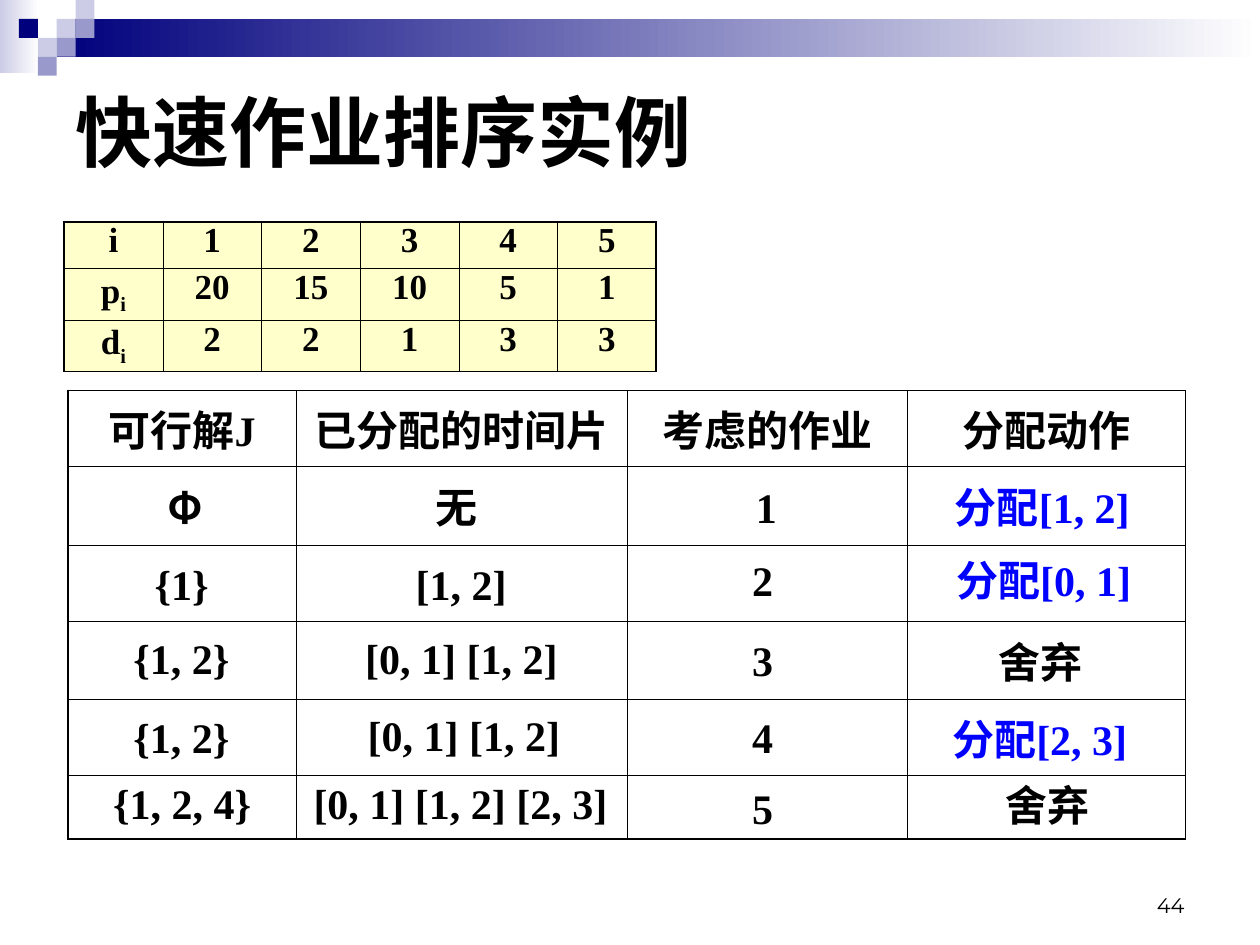
from dataclasses import dataclass

from lxml.etree import SubElement
from pptx import Presentation
from pptx.dml.color import RGBColor as RGB
from pptx.enum.shapes import MSO_SHAPE as Shape
from pptx.enum.text import MSO_ANCHOR as Anchor, MSO_AUTO_SIZE as AutoSize, PP_ALIGN as Align
from pptx.oxml.ns import qn
from pptx.util import Inches, Pt


@dataclass(frozen=True)
class Theme:
    ink: RGB = RGB(0, 0, 0)
    assigned: RGB = RGB(0, 0, 255)
    navy: RGB = RGB(0, 0, 0x7D)
    lilac: RGB = RGB(0x99, 0x99, 0xCC)
    mist: RGB = RGB(0xCC, 0xCC, 0xE6)
    white: RGB = RGB(255, 255, 255)
    cream: RGB = RGB(255, 255, 0xCC)
    serif: str = "Times New Roman"
    sans: str = "Arial"
    cjk: str = "Noto Sans CJK SC"
    number: str = "Montserrat"
    title_size: Pt = Pt(44)
    body_size: Pt = Pt(24)
    job_size: Pt = Pt(20)
    number_size: Pt = Pt(12)
    outer_line: Pt = Pt(1.08)
    inner_line: Pt = Pt(0.45)


THEME = Theme()
TITLE = dict(name=THEME.sans, size=THEME.title_size, bold=True)
HEADING = dict(name=THEME.sans, size=THEME.body_size, bold=True)
BODY = dict(HEADING, name=THEME.serif)
JOB = dict(BODY, size=THEME.job_size)
PAGE = dict(name=THEME.number, size=THEME.number_size)

SQUARES = [
    (3, 1, THEME.mist), (4, 0, THEME.mist), (4, 1, THEME.lilac), (2, 2, THEME.mist),
    (1, 1, THEME.navy), (3, 2, THEME.lilac), (2, 3, THEME.lilac),
]
JOBS = [
    ["i", "1", "2", "3", "4", "5"],
    ["p_i", "20", "15", "10", "5", "1"],
    ["d_i", "2", "2", "1", "3", "3"],
]
HEADINGS = [("可行解", "J"), ("已分配的时间片",), ("考虑的作业",), ("分配动作",)]
STEPS = [
    [("Φ", 0.69, 0.67, 0.51), ("无", 2.82, 0.67, 0.56),
     ("1", 5.36, 0.67, 0.39), ("分配[1, 2]", 6.94, 0.67, 1.7)],
    [("{1}", 0.59, 1.28, 0.66), ("[1, 2]", 2.66, 1.28, 0.95),
     ("2", 5.33, 1.25, 0.39), ("分配[0, 1]", 6.95, 1.25, 1.7)],
    [("{1, 2}", 0.42, 1.87, 0.99), ("[0, 1] [1, 2]", 2.26, 1.87, 1.75),
     ("3", 5.33, 1.89, 0.39), ("舍弃", 7.29, 1.9, 0.89)],
    [("{1, 2}", 0.42, 2.5, 0.99), ("[0, 1] [1, 2]", 2.28, 2.48, 1.75),
     ("4", 5.33, 2.5, 0.39), ("分配[2, 3]", 6.92, 2.51, 1.7)],
    [("{1, 2, 4}", 0.26, 3.02, 1.32), ("[0, 1] [1, 2] [2, 3]", 1.85, 3.02, 2.56),
     ("5", 5.33, 3.06, 0.39), ("舍弃", 7.34, 3.04, 0.89)],
]


def set_all(target, values):
    for key, value in values.items():
        setattr(target, key, value)


def add_run(paragraph, text, style, color=THEME.ink, baseline=None):
    run = paragraph.add_run()
    run.text = text
    set_all(run.font, style)
    run.font.color.rgb = color
    properties = run.font._element
    SubElement(properties, qn("a:ea"), typeface=THEME.cjk)
    if baseline:
        properties.set("baseline", str(baseline))


def add_text(slide, box, text, style, color=THEME.ink, align=Align.LEFT, **frame_format):
    frame = slide.shapes.add_textbox(*box).text_frame
    set_all(frame, dict(dict(word_wrap=True, auto_size=AutoSize.NONE), **frame_format))
    paragraph = frame.paragraphs[0]
    paragraph.alignment = align
    add_run(paragraph, text, style, color)


def add_block(slide, box, *colors):
    block = slide.shapes.add_shape(Shape.RECTANGLE, *box)
    block.shadow.inherit = False
    block.line.fill.background()
    if len(colors) == 1:
        block.fill.solid()
        block.fill.fore_color.rgb = colors[0]
        return
    block.fill.gradient()
    block.fill.gradient_angle = 0
    for position, (stop, color) in enumerate(zip(block.fill.gradient_stops, colors)):
        stop.position = position
        stop.color.rgb = color


def add_banner(slide, box):
    left, top, width, height = box
    step = Inches(0.15)
    add_block(slide, (left, top, Inches(0.31), height), THEME.mist, THEME.white)
    bar = (left + 3 * step, top + step, width - 3 * step, 2 * step)
    add_block(slide, bar, THEME.navy, THEME.white)
    for column, row, color in SQUARES:
        add_block(slide, (left + column * step, top + row * step, step, step), color)


def border_cell(cell, outer_edges):
    properties = cell._tc.get_or_add_tcPr()
    for side, is_outer in zip("LRTB", outer_edges):
        width = THEME.outer_line if is_outer else THEME.inner_line
        line = SubElement(properties, qn(f"a:ln{side}"), w=str(int(width)))
        SubElement(SubElement(line, qn("a:solidFill")), qn("a:srgbClr"), val=str(THEME.ink))


def add_grid(slide, box, widths, heights, fill=None, **margins):
    table = slide.shapes.add_table(len(heights), len(widths), *box).table
    set_all(table, dict(first_row=False, horz_banding=False))
    for column, width in zip(table.columns, widths):
        column.width = Inches(width)
    for row, height in zip(table.rows, heights):
        row.height = Inches(height)
    for r in range(len(heights)):
        for c in range(len(widths)):
            cell = table.cell(r, c)
            set_all(cell, margins)
            border_cell(cell, (c == 0, c == len(widths) - 1, r == 0, r == len(heights) - 1))
            if fill is None:
                cell.fill.background()
            else:
                cell.fill.solid()
                cell.fill.fore_color.rgb = fill
    return table


def add_jobs(slide, box):
    margin = Inches(0.06)
    table = add_grid(slide, box, [box[2].inches / 6] * 6, [0.37, 0.41, 0.41],
                     THEME.cream, margin_left=margin, margin_right=margin)
    for r, row in enumerate(JOBS):
        for c, label in enumerate(row):
            paragraph = table.cell(r, c).text_frame.paragraphs[0]
            set_all(paragraph, dict(alignment=Align.CENTER, line_spacing=0.8))
            symbol, _, subscript = label.partition("_")
            add_run(paragraph, symbol, JOB)
            if subscript:
                add_run(paragraph, subscript, JOB, baseline=-25000)


def add_steps(slide, box):
    table = add_grid(slide, box, [1.81, 2.63, 2.22, 2.21], [0.6, 0.63, 0.6, 0.62, 0.6, 0.51])
    for c, parts in enumerate(HEADINGS):
        cell = table.cell(0, c)
        cell.vertical_anchor = Anchor.MIDDLE
        paragraph = cell.text_frame.paragraphs[0]
        paragraph.alignment = Align.CENTER
        for part, style in zip(parts, (HEADING, BODY)):
            add_run(paragraph, part, style)
    left, top = box[:2]
    for row in STEPS:
        for label, x, y, width in row:
            place = (left + Inches(x), top + Inches(y), Inches(width), Inches(0.5))
            style = dict(BODY, name=THEME.cjk) if label == "Φ" else BODY
            color = THEME.assigned if label.startswith("分配") else THEME.ink
            add_text(slide, place, label, style, color,
                     word_wrap=False, auto_size=AutoSize.SHAPE_TO_FIT_TEXT)


def inch_box(*lengths):
    return tuple(Inches(length) for length in lengths)


def main():
    deck = Presentation()
    set_all(deck, dict(slide_width=Inches(10), slide_height=Inches(7.5)))
    slide = deck.slides.add_slide(deck.slide_layouts[6])
    add_banner(slide, inch_box(0, 0, 10, 0.58))
    add_text(slide, inch_box(7.17, 6.83, 2.33, 0.5), "44", PAGE,
             align=Align.RIGHT, vertical_anchor=Anchor.BOTTOM)
    add_text(slide, inch_box(0.5, 0.44, 9, 1.2), "快速作业排序实例", TITLE,
             vertical_anchor=Anchor.MIDDLE)
    add_jobs(slide, inch_box(0.51, 1.76, 4.7, 1.19))
    add_steps(slide, inch_box(0.54, 3.1, 8.87, 3.57))
    deck.save("out.pptx")


if __name__ == "__main__":
    main()
